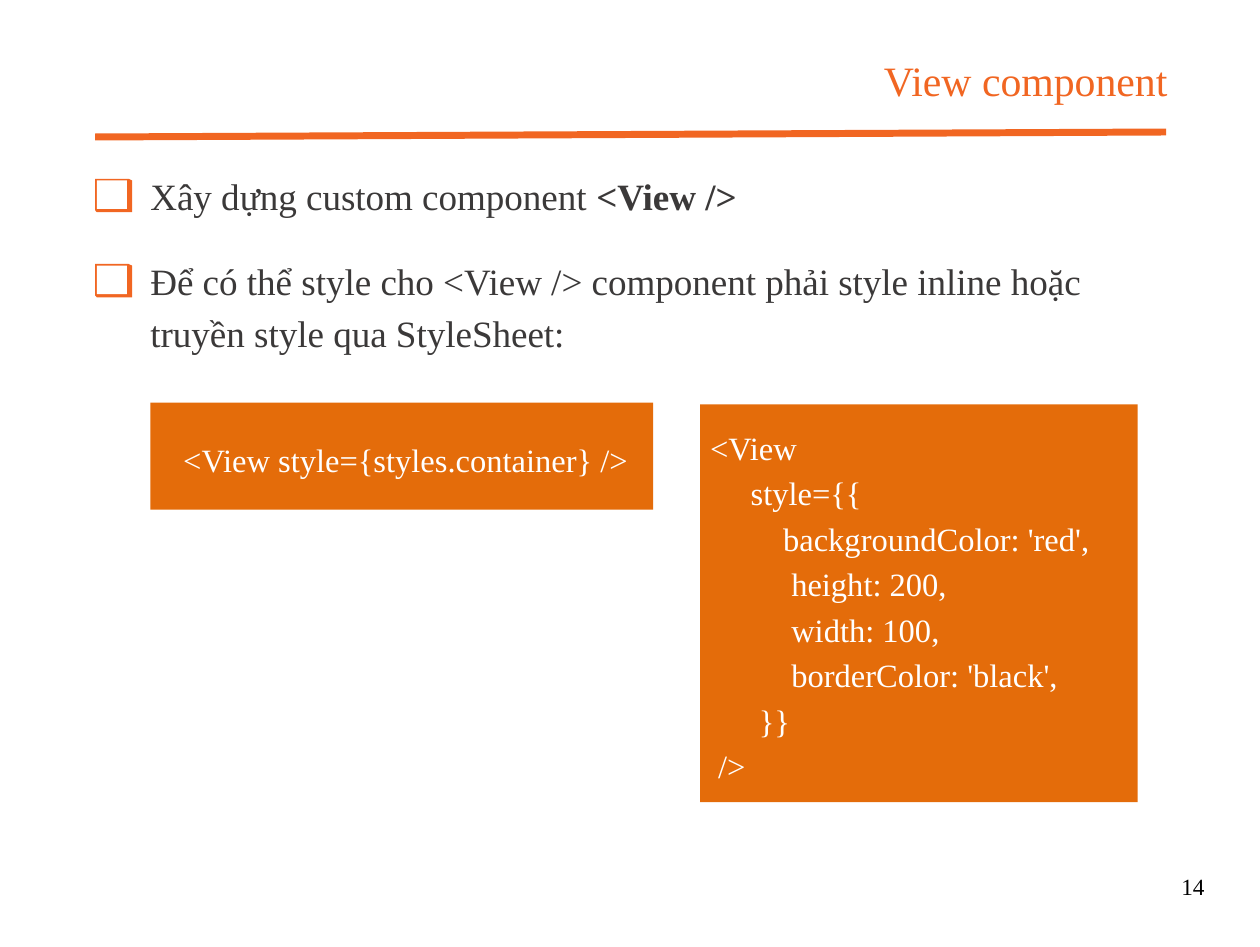
from pptx import Presentation
from pptx.dml.color import RGBColor
from pptx.enum.shapes import MSO_CONNECTOR, MSO_SHAPE
from pptx.enum.text import MSO_ANCHOR, MSO_AUTO_SIZE, PP_ALIGN
from pptx.oxml.ns import qn
from pptx.util import Inches, Pt
from lxml.etree import SubElement

ORANGE = RGBColor(0xF1, 0x66, 0x22)
CODE_FILL = RGBColor(0xE4, 0x6C, 0x0A)
GREY = RGBColor(0x3B, 0x39, 0x39)
WHITE = RGBColor(0xFF, 0xFF, 0xFF)
BLACK = RGBColor(0, 0, 0)
FONT = "Times New Roman"

TITLE = "View component"
PAGE_NUMBER = "14"
# Each bullet: top of its text, height, and (text, bold) spans
BULLETS = [
    (0.99, 0.31, [("Xây dựng custom component ", False), ("<View />", True)]),
    (1.5, 0.63, [("Để có thể style cho <View /> component phải style inline "
                  "hoặc truyền style qua StyleSheet:", False)]),
]
# Each code box: left, top, width, height, alignment, (indent in spaces, text) lines
CODE_BOXES = [
    (0.9, 2.41, 3.01, 0.64, PP_ALIGN.CENTER,
     [(0, " <View style={styles.container} />")]),
    (4.19, 2.42, 2.62, 2.38, PP_ALIGN.LEFT,
     [(0, "<View"), (5, "style={{"), (9, "backgroundColor: 'red',"),
      (10, "height: 200,"), (10, "width: 100,"),
      (10, "borderColor: 'black',"), (6, "}}"), (1, "/>")]),
]
CHECKBOX = [(0, 0), (0.2, 0), (0.22, 0.01), (0.22, 0.2), (0.01, 0.2), (0, 0.19)]
CHECKBOX_LEFT = 0.57
CHECKBOX_DROP = 0.08
LINE_RATIO = 1.4
SPACE_RATIO = 0.25


def format_paragraph(para, size, color, align=PP_ALIGN.LEFT):
    para.alignment = align
    para.line_spacing = Pt(size * LINE_RATIO)
    for span in para.runs:
        span.font.name = FONT
        span.font.size = Pt(size)
        span.font.color.rgb = color


def set_frame(frame, inset=0, anchor=MSO_ANCHOR.TOP):
    frame.word_wrap = True
    frame.auto_size = MSO_AUTO_SIZE.NONE
    frame.vertical_anchor = anchor
    frame.margin_left = frame.margin_right = Inches(inset)
    frame.margin_top = frame.margin_bottom = Inches(inset)


def paint(shape, color):
    shape.shadow.inherit = False
    shape.fill.solid()
    shape.fill.fore_color.rgb = color
    shape.line.fill.background()


def add_text(page, left, top, width, height):
    box = page.shapes.add_textbox(*map(Inches, (left, top, width, height)))
    set_frame(box.text_frame)
    return box.text_frame.paragraphs[0]


def add_rectangle(page, left, top, width, height, color):
    box = page.shapes.add_shape(
        MSO_SHAPE.RECTANGLE, *map(Inches, (left, top, width, height)))
    paint(box, color)
    return box


def add_rule(page):
    rule = page.shapes.add_connector(
        MSO_CONNECTOR.STRAIGHT, *map(Inches, (0.57, 0.82, 6.98, 0.79)))
    rule.line.color.rgb = ORANGE
    rule.line.width = Pt(3)
    SubElement(rule._element.spPr, qn("a:effectLst"))


def add_title(page):
    title = page.shapes.title
    title.left, title.top, title.width, title.height = map(
        Inches, (3.18, 0.28, 3.81, 0.35))
    title.text_frame.text = TITLE
    set_frame(title.text_frame)
    format_paragraph(title.text_frame.paragraphs[0], 18, ORANGE, PP_ALIGN.RIGHT)


def add_checkbox(page, left, top):
    """Draw a white box with a thick orange edge at the right and bottom."""
    points = [(Inches(left + x), Inches(top + y)) for x, y in CHECKBOX]
    builder = page.shapes.build_freeform(*points[0])
    builder.add_line_segments(points[1:], close=True)
    paint(builder.convert_to_shape(), ORANGE)
    add_rectangle(page, left + 0.01, top + 0.01, 0.18, 0.17, WHITE)


def add_bullet(page, top, height, spans):
    add_checkbox(page, CHECKBOX_LEFT, top + CHECKBOX_DROP)
    para = add_text(page, 0.9, top, 6.02, height)
    for text, bold in spans:
        span = para.add_run()
        span.text = text
        span.font.bold = bold
    format_paragraph(para, 16, GREY)


def add_code(page, left, top, width, height, align, lines):
    size = 14
    frame = add_rectangle(page, left, top, width, height, CODE_FILL).text_frame
    set_frame(frame, 0.06, MSO_ANCHOR.MIDDLE)
    frame.text = "\n".join(text for _, text in lines)
    for para, (indent, _) in zip(frame.paragraphs, lines):
        format_paragraph(para, size, WHITE, align)
        margin = Pt(indent * size * SPACE_RATIO)
        para._p.get_or_add_pPr().set("marL", str(margin))


def main():
    deck = Presentation()
    deck.slide_width, deck.slide_height = Pt(543), Pt(408)
    page = deck.slides.add_slide(deck.slide_layouts[5])
    add_rule(page)
    add_title(page)
    for bullet in BULLETS:
        add_bullet(page, *bullet)
    for code_box in CODE_BOXES:
        add_code(page, *code_box)
    number = add_text(page, 6.98, 5.19, 0.23, 0.2)
    number.text = PAGE_NUMBER
    format_paragraph(number, 10, BLACK, PP_ALIGN.RIGHT)
    deck.save("out.pptx")


if __name__ == "__main__":
    main()
